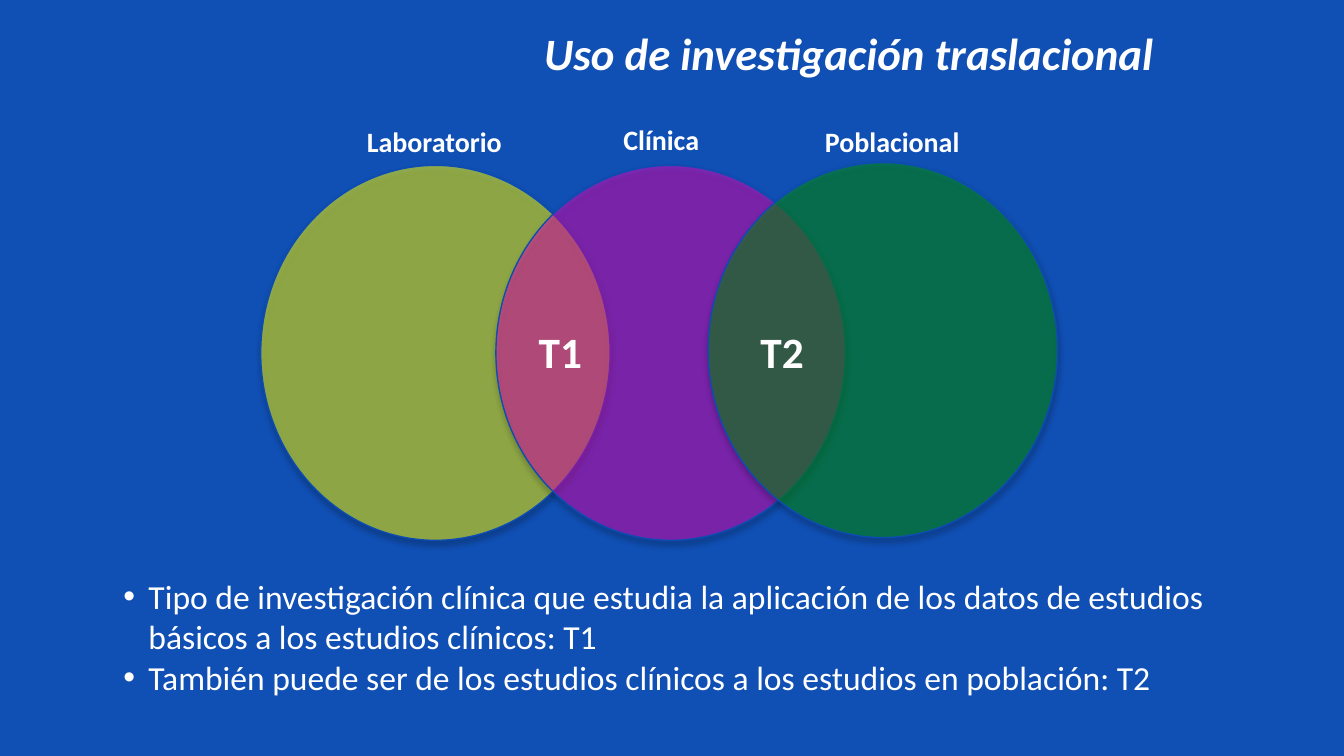
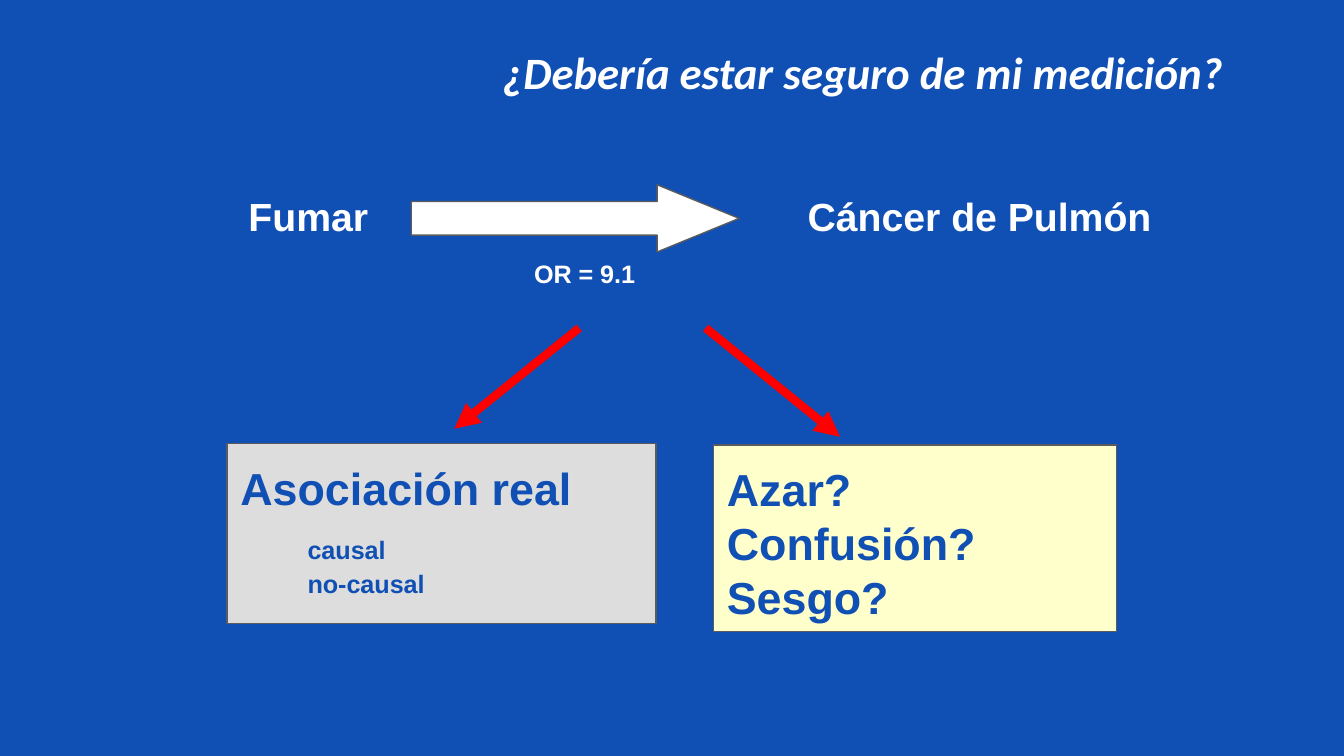
from lxml import etree
from pptx import Presentation
from pptx.dml.color import RGBColor
from pptx.enum.shapes import MSO_CONNECTOR, MSO_SHAPE
from pptx.enum.text import MSO_ANCHOR, PP_ALIGN
from pptx.oxml.ns import qn
from pptx.util import Pt

OVAL, RECT, ARROW = MSO_SHAPE.OVAL, MSO_SHAPE.RECTANGLE, MSO_SHAPE.RIGHT_ARROW
LINE = MSO_CONNECTOR.STRAIGHT
LEFT, CENTER = PP_ALIGN.LEFT, PP_ALIGN.CENTER
TOP, MIDDLE = MSO_ANCHOR.TOP, MSO_ANCHOR.MIDDLE

# Shared colours and fonts
BLUE, WHITE, GREY, RED, EDGE = "104FB3", "FFFFFF", "5B5B5E", "FF0000", "0C4CB3"
SANS, ARIAL = "Calibri", "Arial"

# Slide 1 content: boxes are left, top, width, height in points
USE = ("Uso de investigación traslacional", (189.4, 6.5, 530.6, 43.2))
OVALS = [  # left, top, colour, opacity %
    (139.7, 88.6, "FFFF00", 53),
    (265.7, 88.6, "F103BE", 47),
    (379.4, 87.1, "009900", 49),
]
FIELDS = [
    ("Laboratorio", (189.4, 63.4, 87.8, 25.2)),
    ("Clínica", (326.9, 61.9, 55.4, 25.2)),
    ("Poblacional", (434.9, 63.4, 89.3, 25.2)),
]
STEPS = [("T1", 281.5), ("T2", 400.3)]
NOTES = [
    "Tipo de investigación clínica que estudia la aplicación de los datos "
    "de estudios básicos a los estudios clínicos: T1",
    "También puede ser de los estudios clínicos a los estudios en población: T2",
]

# Slide 2 content
SURE = ("¿Debería estar seguro de mi medición?", (204.5, 4.3, 515.5, 67.7))
LINK = "Fumar\tCáncer de Pulmón"
RATIO = "OR = 9.1"
REAL = [  # text, size, indent, space before
    ("Asociación real", 24, 0, 0),
    ("causal", 13.5, 36, 10.7),
    ("no-causal", 13.5, 36, 1.7),
]
DOUBT = [(word, 24, 0, 0) for word in ("Azar?", "Confusión?", "Sesgo?")]
CARDS = [
    (REAL, (121.7, 237.6, 229.7, 96.5), "DDDDDD"),
    (DOUBT, (382.3, 238.3, 216, 100.1), "FFFFCC"),
]
FORKS = [(310.3, 175.7, 243.4, 229.7), (378, 175.7, 450, 234)]


def rgb(code):
    return RGBColor.from_string(code)


def pts(box):
    return [Pt(n) for n in box]


def sub(node, tag, **attrs):
    return etree.SubElement(node, qn(tag), {k: str(v) for k, v in attrs.items()})


def write(para, text, size=15, font=SANS, color=WHITE, bold=True, italic=False,
          align=LEFT, before=0):
    para.alignment, para.line_spacing = align, 1.0
    para.space_before = Pt(before)
    run = para.add_run()
    run.text = text
    face = run.font
    face.name, face.size = font, Pt(size)
    face.bold, face.italic = bold, italic
    face.color.rgb = rgb(color)
    return para


def label(slide, text, box, wrap=True, **style):
    frame = slide.shapes.add_textbox(*pts(box)).text_frame
    frame.word_wrap = wrap
    return write(frame.paragraphs[0], text, **style)


def shape(slide, kind, box, fill, edge):
    form = slide.shapes.add_shape(kind, *pts(box))
    form.shadow.inherit = False
    form.fill.solid()
    form.fill.fore_color.rgb = rgb(fill)
    form.line.color.rgb = rgb(edge)
    form.line.width = Pt(0.75)
    return form


def indent(para, left, hang=0):
    props = para._p.get_or_add_pPr()
    props.set("marL", str(Pt(left)))
    props.set("indent", str(-Pt(hang)))
    return props


def page(deck, title):
    text, box = title
    slide = deck.slides.add_slide(deck.slide_layouts[5])
    head = slide.shapes.title
    head.left, head.top, head.width, head.height = pts(box)
    head.text_frame.vertical_anchor = MIDDLE
    write(head.text_frame.paragraphs[0], text, size=24, italic=True, align=CENTER)
    return slide


def circle(slide, left, top, color, alpha):
    form = shape(slide, OVAL, (left, top, 187.2, 200.9), color, EDGE)
    props = form._element.spPr
    fill = props.find(qn("a:solidFill"))
    sub(fill[0], "a:alpha", val=alpha * 1000)
    glow = sub(props.find(qn("a:effectLst")), "a:outerShdw", blurRad=Pt(3.1),
               dist=Pt(1.8), dir=90 * 60000, rotWithShape=0)
    sub(sub(glow, "a:srgbClr", val="000000"), "a:alpha", val=35000)


def venn(deck):
    slide = page(deck, USE)
    for oval in OVALS:
        circle(slide, *oval)
    for text, box in FIELDS:
        label(slide, text, box, wrap=False)
    for text, left in STEPS:
        label(slide, text, (left, 170.6, 38.2, 35.3), wrap=False, size=23.2)

    # Bulleted notes
    frame = slide.shapes.add_textbox(*pts((59, 305, 631.4, 72.7))).text_frame
    frame.word_wrap = True
    for i, text in enumerate(NOTES):
        para = frame.add_paragraph() if i else frame.paragraphs[0]
        write(para, text, size=18, bold=False)
        props = indent(para, 13.5, 13.5)
        sub(props, "a:buFont", typeface=ARIAL)
        sub(props, "a:buChar", char="•")


def card(slide, rows, box, fill):
    form = shape(slide, RECT, box, fill, GREY)
    frame = form.text_frame
    frame.word_wrap, frame.vertical_anchor = True, TOP
    frame.margin_top = Pt(9.3)
    for i, (text, size, left, before) in enumerate(rows):
        para = frame.add_paragraph() if i else frame.paragraphs[0]
        write(para, text, size=size, font=ARIAL, color=BLUE, before=before)
        indent(para, left)


def fork(slide, ends):
    line = slide.shapes.add_connector(LINE, *pts(ends))
    line.line.color.rgb = rgb(RED)
    line.line.width = Pt(4.5)
    sub(line.line._get_or_add_ln(), "a:tailEnd", type="triangle")
    sub(line._element.spPr, "a:effectLst")


def doubt(deck):
    slide = page(deck, SURE)

    # Cause and effect, set apart by one tab stop
    para = label(slide, LINK, (126, 99.4, 546.5, 32.4), size=21, font=ARIAL, before=1.5)
    stops = sub(para._p.get_or_add_pPr(), "a:tabLst")
    sub(stops, "a:tab", pos=Pt(299.5), algn="l")
    arrow = shape(slide, ARROW, (220.3, 99, 175.7, 36), WHITE, GREY)
    arrow.adjustments[0], arrow.adjustments[1] = 0.5, 1.22
    label(slide, RATIO, (279, 135, 135.4, 23.8), size=13.5, font=ARIAL)

    # Possible explanations
    for rows, box, fill in CARDS:
        card(slide, rows, box, fill)
    for ends in FORKS:
        fork(slide, ends)


def main():
    deck = Presentation()
    deck.slide_width, deck.slide_height = Pt(720), Pt(405)
    back = deck.slide_master.background.fill
    back.solid()
    back.fore_color.rgb = rgb(BLUE)
    venn(deck)
    doubt(deck)
    deck.save("out.pptx")


if __name__ == "__main__":
    main()
